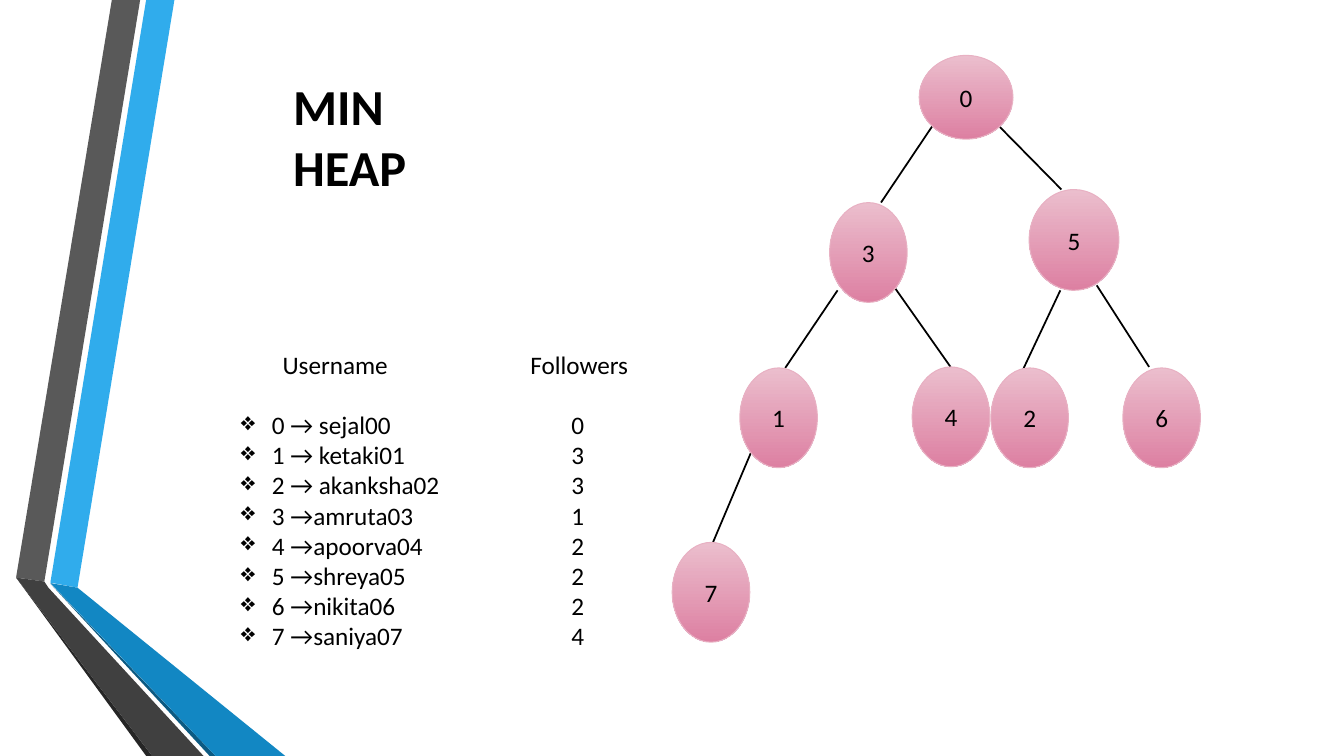
from lxml import etree
from pptx import Presentation
from pptx import util as u
from pptx.dml.color import RGBColor
from pptx.enum import shapes, text
from pptx.oxml.ns import qn

BLACK = RGBColor(0x00, 0x00, 0x00)
NODE_TOP = RGBColor(0xEB, 0xBE, 0xCD)
NODE_BOTTOM = RGBColor(0xDD, 0x80, 0xA2)
NODE_EDGE = RGBColor(0xE8, 0xB1, 0xC3)
BLUE = RGBColor(0x30, 0xAC, 0xEC)
BLUE_MID = RGBColor(0x12, 0x87, 0xC3)
BLUE_DARK = RGBColor(0x0C, 0x5A, 0x82)
GREY = RGBColor(0x59, 0x59, 0x59)
GREY_MID = RGBColor(0x40, 0x40, 0x40)
GREY_DARK = RGBColor(0x26, 0x26, 0x26)

RIBBONS = [
    (BLUE, [(36, 416.2), (55.4, 419.8), (124.6, 0), (104.4, 0)]),
    (GREY, [(100.1, 0), (79.9, 0), (11.5, 412.6), (31.7, 415.4)]),
    (GREY_DARK, [(11.5, 412.6), (104.4, 540), (108.7, 540)]),
    (BLUE_DARK, [(36, 416.9), (149.8, 540), (154.1, 540)]),
    (BLUE_MID, [(36, 416.5), (154.1, 540), (203.8, 540), (55.4, 419.8)]),
    (GREY_MID, [(145.4, 540), (34.6, 419.8), (31.7, 415.4), (11.5, 412.6), (108.7, 540)]),
]

NODE_SIZE = (55.4, 71.3)
HEAP = [
    ("0", (176.6, 0), (67, 59.8)),
    ("3", (112.6, 105.1), NODE_SIZE),
    ("5", (255.1, 95.8), (64.1, 72)),
    ("1", (48.5, 223.2), NODE_SIZE),
    ("4", (171.6, 222.5), NODE_SIZE),
    ("2", (227.8, 223.2), NODE_SIZE),
    ("6", (322.1, 223.2), NODE_SIZE),
    ("7", (0.2, 347.8), NODE_SIZE),
]
BRANCHES = [
    ((186, 50.4), (149.3, 105.1)),
    ((233.5, 50.4), (278.2, 95.8)),
    ((118.3, 167.8), (80.9, 223.2)),
    ((159.4, 166.3), (199, 222.5)),
    ((277.4, 167.8), (247.9, 230.4)),
    ((303.4, 164.2), (340.8, 222.5)),
    ((56.4, 283.7), (29, 348.5)),
]

USERS = [
    ("0 → sejal00", 0),
    ("1 → ketaki01", 3),
    ("2 → akanksha02", 3),
    ("3 →amruta03", 1),
    ("4 →apoorva04", 2),
    ("5 →shreya05", 2),
    ("6 →nikita06", 2),
    ("7 →saniya07", 4),
]


def style(paragraph, size, bold=False):
    """Format every run of a paragraph in black Calibri."""
    for run in paragraph.runs:
        run.font.name = "Calibri"
        run.font.size = u.Pt(size)
        run.font.bold = bold
        run.font.color.rgb = BLACK


def draw_ribbons(slide, left, top):
    """Draw the folded grey and blue ribbons at the slide's left side."""
    for colour, corners in RIBBONS:
        points = [(u.Pt(left + x), u.Pt(top + y)) for x, y in corners]
        outline = slide.shapes.build_freeform(*points[0], scale=1.0)
        outline.add_line_segments(points[1:], close=True)
        ribbon = outline.convert_to_shape()
        ribbon.shadow.inherit = False
        ribbon.fill.solid()
        ribbon.fill.fore_color.rgb = colour
        ribbon.line.fill.background()


def draw_title(slide, left, top, width, height):
    """Write the slide title."""
    title = slide.shapes.add_textbox(*map(u.Pt, (left, top, width, height)))
    title.text_frame.word_wrap = True
    title.text_frame.text = "MIN HEAP"
    style(title.text_frame.paragraphs[0], 36, True)


def draw_heap(slide, left, top):
    """Draw the heap tree, branches first and nodes over them."""
    for (x1, y1), (x2, y2) in BRANCHES:
        ends = (left + x1, top + y1, left + x2, top + y2)
        branch = slide.shapes.add_connector(shapes.MSO_CONNECTOR.STRAIGHT, *map(u.Pt, ends))
        branch.line.color.rgb = BLACK
        branch.line.width = u.Pt(1.25)
        etree.SubElement(branch._element.spPr, qn("a:effectLst"))
    for label, (x, y), size in HEAP:
        box = map(u.Pt, (left + x, top + y, *size))
        node = slide.shapes.add_shape(shapes.MSO_SHAPE.OVAL, *box)
        node.shadow.inherit = False
        node.fill.gradient()
        node.fill.gradient_angle = 270
        for stop, colour in zip(node.fill.gradient_stops, (NODE_TOP, NODE_BOTTOM)):
            stop.color.rgb = colour
        node.line.color.rgb = NODE_EDGE
        node.line.width = u.Pt(0.75)
        node.text_frame.vertical_anchor = text.MSO_ANCHOR.MIDDLE
        node.text_frame.text = label
        caption = node.text_frame.paragraphs[0]
        caption.alignment = text.PP_ALIGN.CENTER
        style(caption, 18)


def set_layout(paragraph, tabs, indent=0, bullet=None):
    """Give a paragraph its hanging indent, bullet and tab stops."""
    props = paragraph._p.get_or_add_pPr()
    if bullet:
        props.set("marL", str(u.Pt(indent)))
        props.set("indent", str(-u.Pt(22.3)))
        etree.SubElement(props, qn("a:buChar"), char=bullet)
    stops = etree.SubElement(props, qn("a:tabLst"))
    for position, align in tabs:
        etree.SubElement(stops, qn("a:tab"), pos=str(u.Pt(position)), algn=align)


def draw_followers(slide, left, top, width, height):
    """List each user with the number of followers."""
    listing = slide.shapes.add_textbox(*map(u.Pt, (left, top, width, height)))
    frame = listing.text_frame
    frame.word_wrap = True
    frame.text = "\tUsername\tFollowers"
    header = frame.paragraphs[0]
    header.line_spacing = u.Pt(21.5)
    header.space_after = u.Pt(21.5)
    set_layout(header, [(68, "l"), (245, "l")])
    style(header, 18)
    for user, followers in USERS:
        entry = frame.add_paragraph()
        entry.text = f"{user}\t{followers}"
        entry.line_spacing = u.Pt(21.5)
        set_layout(entry, [(295, "ctr")], 60.5, "❖")
        style(entry, 18)


def main():
    """Build the min heap slide and save it."""
    deck = Presentation()
    deck.slide_width, deck.slide_height = u.Pt(960), u.Pt(540)
    slide = deck.slides.add_slide(deck.slide_layouts[6])
    draw_ribbons(slide, 0, 0)
    draw_title(slide, 202.3, 50.4, 158.4, 94.3)
    draw_heap(slide, 480, 39.6)
    draw_followers(slide, 126.7, 246.2, 353.5, 203.8)
    deck.save("out.pptx")


if __name__ == "__main__":
    main()
